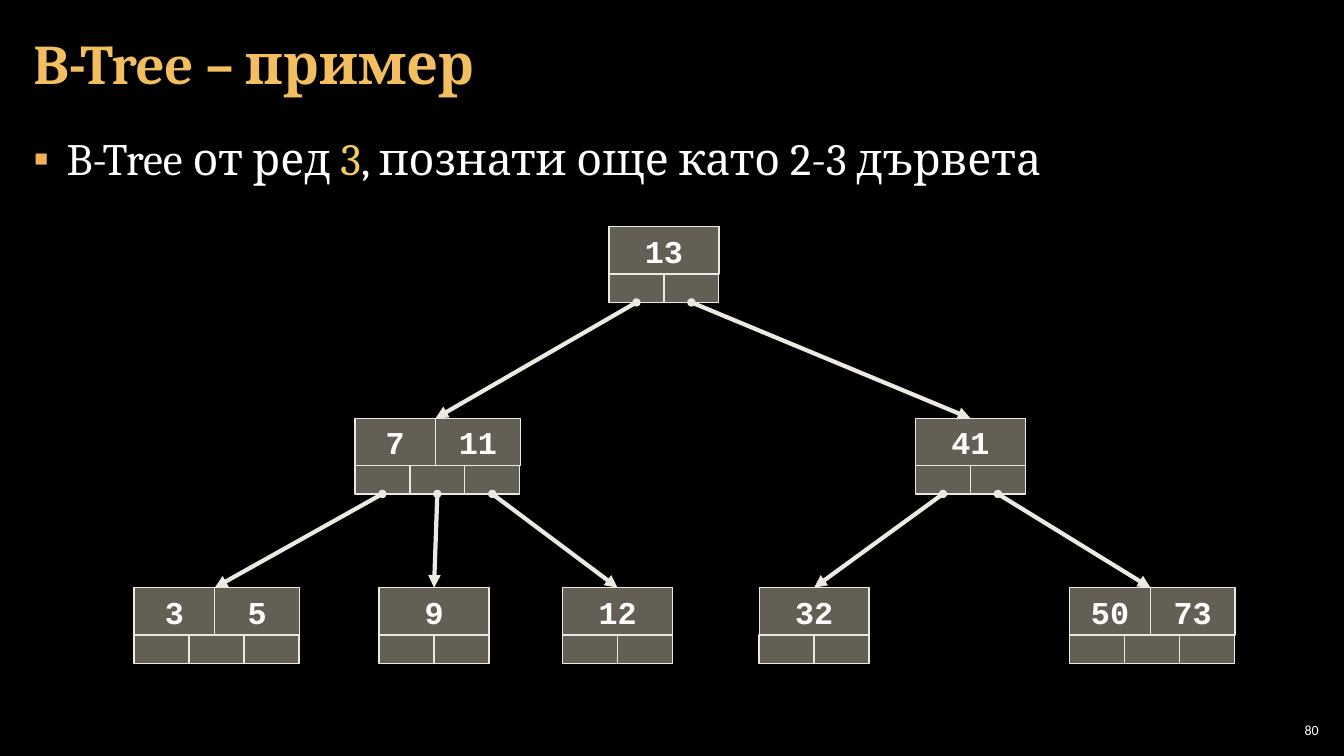
from lxml import etree
from pptx import Presentation
from pptx.dml.color import RGBColor
from pptx.enum.shapes import MSO_CONNECTOR, MSO_SHAPE
from pptx.enum.text import MSO_ANCHOR, MSO_AUTO_SIZE, PP_ALIGN
from pptx.oxml.ns import qn
from pptx.util import Inches, Pt

RECTANGLE, STRAIGHT = MSO_SHAPE.RECTANGLE, MSO_CONNECTOR.STRAIGHT
MIDDLE, TOP = MSO_ANCHOR.MIDDLE, MSO_ANCHOR.TOP
LEFT, CENTER, RIGHT = PP_ALIGN.LEFT, PP_ALIGN.CENTER, PP_ALIGN.RIGHT
NO_AUTOFIT = MSO_AUTO_SIZE.NONE

COLORS = {
    "background": "000000", "text": "FFFFFF", "title": "F3BE60",
    "accent": "F3CC5F", "bullet": "F2B254", "cell": "C6BEAB", "line": "ECE9E2",
}

# Tree grid, in inches
LEVEL_TOPS = [2.25, 4.15, 5.83]
KEY_HEIGHT, POINTER_HEIGHT, POINTER_WIDTH = 0.47, 0.28, 0.545
KEY_WIDTHS = {1: [1.09], 2: [0.8, 0.84]}

# Each node: level, left edge, keys, parent and the parent's pointer
NODES = {
    "root": (0, 6.04, ["13"], None, None),
    "left": (1, 3.52, ["7", "11"], "root", 0),
    "right": (1, 9.08, ["41"], "root", 1),
    "leaf 1": (2, 1.33, ["3", "5"], "left", 0),
    "leaf 2": (2, 3.76, ["9"], "left", 1),
    "leaf 3": (2, 5.58, ["12"], "left", 2),
    "leaf 4": (2, 7.53, ["32"], "right", 0),
    "leaf 5": (2, 10.61, ["50", "73"], "right", 1),
}

presentation = Presentation()
presentation.slide_width, presentation.slide_height = Inches(13.33), Inches(7.5)
slide = presentation.slides.add_slide(presentation.slide_layouts[1])
slide.background.fill.solid()
slide.background.fill.fore_color.rgb = RGBColor.from_string(COLORS["background"])


def format_text(shape, font_name, size, color, alignment, anchor, margins, bold=False):
    frame = shape.text_frame
    frame.word_wrap, frame.auto_size, frame.vertical_anchor = True, NO_AUTOFIT, anchor
    frame.margin_left = frame.margin_right = Inches(margins[0])
    frame.margin_top = frame.margin_bottom = Inches(margins[1])
    paragraph = frame.paragraphs[0]
    paragraph.alignment, paragraph.space_before = alignment, Pt(0)
    for run in paragraph.runs:
        run.font.name, run.font.size, run.font.bold = font_name, Pt(size), bold
        run.font.color.rgb = RGBColor.from_string(COLORS[color])


def add_cell(left, top, width, height, key=""):
    cell = slide.shapes.add_shape(
        RECTANGLE, Inches(left), Inches(top), Inches(width), Inches(height))
    cell.shadow.inherit = False
    cell.fill.solid()
    cell.fill.fore_color.rgb = RGBColor.from_string(COLORS["cell"])
    fill_color = cell.fill._xPr.find(qn("a:solidFill"))[0]
    etree.SubElement(fill_color, qn("a:alpha"), val="50000")
    cell.line.color.rgb = RGBColor.from_string(COLORS["line"])
    cell.line.width = Pt(1)
    if key:
        cell.text_frame.text = key
        format_text(cell, "Courier New", 22.7, "text", CENTER, MIDDLE, (0.1, 0.05), True)


# Title
title = slide.shapes.title
title.left, title.top, title.width, title.height = map(Inches, (0.21, 0.05, 10.47, 1.21))
title.text_frame.text = "B-Tree – пример"
format_text(title, "Cambria", 40, "title", LEFT, MIDDLE, (0.12, 0.04), True)
title.text_frame.paragraphs[0].line_spacing = 0.9

# Bulleted sentence with the order highlighted
body = slide.placeholders[1]
body.left, body.top, body.width, body.height = map(Inches, (0.21, 1.26, 12.91, 6.09))
paragraph = body.text_frame.paragraphs[0]
properties = paragraph._p.get_or_add_pPr()
properties.set("marL", str(Inches(0.33)))
properties.set("indent", str(-Inches(0.33)))
bullet_color = etree.SubElement(properties, qn("a:buClr"))
etree.SubElement(bullet_color, qn("a:srgbClr"), val=COLORS["bullet"])
etree.SubElement(properties, qn("a:buChar"), char="▪")
for text in ("B-Tree от ред ", "3", ", познати още като 2-3 дървета"):
    paragraph.add_run().text = text
format_text(body, "Cambria", 32, "text", LEFT, TOP, (0.12, 0.04))
paragraph.runs[1].font.color.rgb = RGBColor.from_string(COLORS["accent"])

# Nodes: a row of keys above a row of pointers
for level, left, keys, parent, pointer in NODES.values():
    top = LEVEL_TOPS[level]
    widths = KEY_WIDTHS[len(keys)]
    for index, key in enumerate(keys):
        add_cell(left + sum(widths[:index]), top, widths[index], KEY_HEIGHT, key)
    for index in range(len(keys) + 1):
        add_cell(left + index * POINTER_WIDTH, top + KEY_HEIGHT,
                 POINTER_WIDTH, POINTER_HEIGHT)

# Arrows from each parent's pointer to the top of the child
for level, left, keys, parent, pointer in NODES.values():
    if parent is None:
        continue
    parent_level, parent_left = NODES[parent][:2]
    start_x = parent_left + (pointer + 0.5) * POINTER_WIDTH
    start_y = LEVEL_TOPS[parent_level] + KEY_HEIGHT + POINTER_HEIGHT
    end_x = left + (KEY_WIDTHS[2][0] if len(keys) == 2 else POINTER_WIDTH)
    arrow = slide.shapes.add_connector(
        STRAIGHT, Inches(start_x), Inches(start_y),
        Inches(end_x), Inches(LEVEL_TOPS[level]))
    arrow.line.color.rgb = RGBColor.from_string(COLORS["line"])
    arrow.line.width = Pt(3)
    line = arrow.line._get_or_add_ln()
    etree.SubElement(line, qn("a:headEnd"), type="oval", w="sm", len="sm")
    etree.SubElement(line, qn("a:tailEnd"), type="triangle")
    etree.SubElement(arrow._element.spPr, qn("a:effectLst"))

# Page number
page_number = slide.shapes.add_textbox(*map(Inches, (12.65, 7.14, 0.47, 0.21)))
page_number.text_frame.text = "80"
format_text(page_number, "Calibri", 10, "text", RIGHT, MIDDLE, (0.04, 0.04))

presentation.save("out.pptx")
